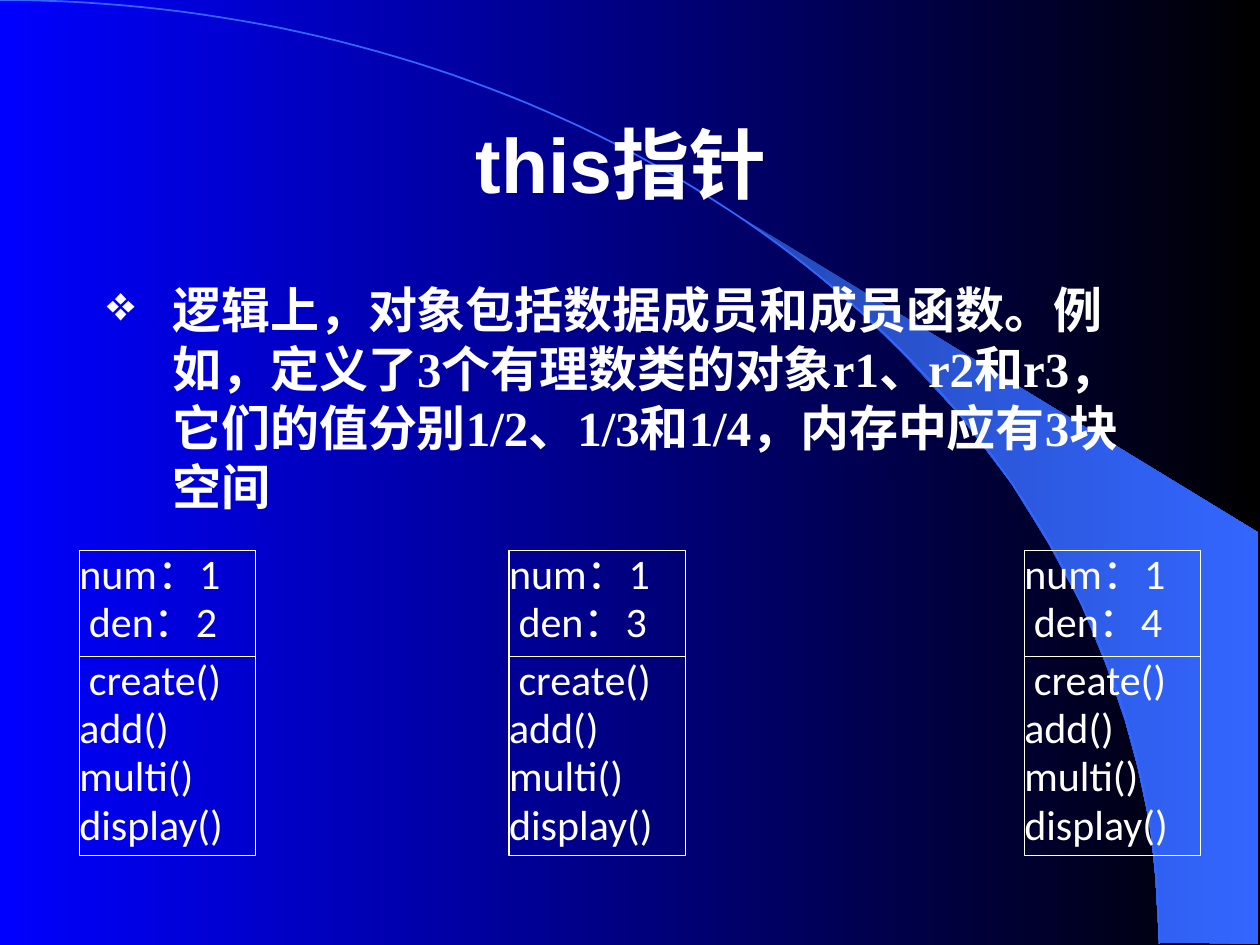
"""Build the slide on the this pointer, with three rational objects in memory."""
import math
import lxml.etree
import pptx
import pptx.util
import pptx.dml.color
import pptx.enum.shapes
import pptx.enum.text
import pptx.oxml.ns

Inches, Pt = pptx.util.Inches, pptx.util.Pt
RGBColor = pptx.dml.color.RGBColor
ALIGN, ANCHOR = pptx.enum.text.PP_ALIGN, pptx.enum.text.MSO_ANCHOR
WHITE = RGBColor(0xFF, 0xFF, 0xFF)
BLACK = RGBColor(0x00, 0x00, 0x00)
BLUE = RGBColor(0x00, 0x00, 0xFF)
SKY = RGBColor(0x33, 0x66, 0xFF)
DEEP_SKY = RGBColor(0x24, 0x49, 0xB6)

TITLE = "this指针 "
STATEMENT = ("逻辑上，对象包括数据成员和成员函数。例如，定义了3个有理数类的对象"
             "r1、r2和r3，它们的值分别1/2、1/3和1/4，内存中应有3块空间")
OBJECTS = [(0.63, 2), (4.04, 3), (8.13, 4)]
FUNCTIONS = [" create()", "add()", "multi()", "display()"]
DATA_BAND, FUNCTION_BAND = (4.37, 0.84), (5.21, 1.58)
OBJECT_WIDTH = 1.4
ARC_WIDTH, ARC_HEIGHT, ARC_STEPS = 9.2, 7.49, 90
BEAM = [(9.2, 7.48), (9.99, 7.49), (9.99, 4.23), (5.89, 1.73), (6.24, 1.99),
        (6.53, 2.22), (6.85, 2.5), (7.16, 2.8), (7.62, 3.3), (8.03, 3.84),
        (8.32, 4.31), (8.58, 4.79), (8.78, 5.28), (8.93, 5.72), (9.03, 6.09),
        (9.13, 6.56), (9.17, 6.96)]


def shade(fill, start, end):
    fill.gradient()
    fill.gradient_angle = 0
    for stop, position, color in zip(fill.gradient_stops, (0, 1), (start, end)):
        stop.position = position
        stop.color.rgb = color


def outline(slide, points, close):
    scaled = [(x * 1000, y * 1000) for x, y in points]
    builder = slide.shapes.build_freeform(*scaled[0], scale=914.4)
    builder.add_line_segments(scaled[1:], close=close)
    shape = builder.convert_to_shape()
    shape.shadow.inherit = False
    return shape


def write(paragraph, text, font, size, align, bold=False):
    paragraph.alignment = align
    run = paragraph.add_run()
    run.text = text
    run.font.name, run.font.size, run.font.bold = font, Pt(size), bold
    run.font.color.rgb = WHITE


def add_backdrop(slide):
    shade(slide.background.fill, BLUE, BLACK)
    beam = outline(slide, BEAM, True)
    shade(beam.fill, DEEP_SKY, SKY)
    beam.line.fill.background()
    angles = [math.pi / 2 * step / ARC_STEPS for step in range(ARC_STEPS + 1)]
    arc = outline(slide, [(ARC_WIDTH * math.sin(a), ARC_HEIGHT * (1 - math.cos(a)))
                          for a in angles], False)
    arc.fill.background()
    arc.line.color.rgb, arc.line.width = SKY, Pt(1)


def add_title(slide):
    title = slide.shapes.title
    title.left, title.top, title.width, title.height = map(Inches, (0.75, 0.67, 8.5, 1.25))
    title.text_frame.vertical_anchor = ANCHOR.MIDDLE
    write(title.text_frame.paragraphs[0], TITLE, "Arial", 44, ALIGN.CENTER, True)
    slide.shapes._spTree.append(title._element)


def add_statement(slide):
    frame = slide.shapes.add_textbox(*map(Inches, (0.75, 2.17, 8.5, 2))).text_frame
    frame.word_wrap = True
    paragraph = frame.paragraphs[0]
    write(paragraph, STATEMENT, "Times New Roman", 28, ALIGN.LEFT, True)
    paragraph.space_before = Pt(5.6)
    properties = paragraph._p.get_or_add_pPr()
    properties.set("marL", str(Inches(0.52)))
    properties.set("indent", str(-Inches(0.52)))
    properties.set("hangingPunct", "0")
    qn = pptx.oxml.ns.qn
    bullet_color = lxml.etree.SubElement(properties, qn("a:buClr"))
    lxml.etree.SubElement(bullet_color, qn("a:srgbClr"), val=str(WHITE))
    lxml.etree.SubElement(properties, qn("a:buSzPct"), val="100000")
    lxml.etree.SubElement(properties, qn("a:buChar"), char="❖")


def add_compartment(slide, left, band, members):
    top, height = band
    box = slide.shapes.add_shape(pptx.enum.shapes.MSO_SHAPE.RECTANGLE,
                                 *map(Inches, (left, top, OBJECT_WIDTH, height)))
    box.shadow.inherit = False
    box.fill.background()
    box.line.color.rgb, box.line.width = WHITE, Pt(0.75)
    frame = box.text_frame
    frame.word_wrap = True
    frame.vertical_anchor = ANCHOR.TOP
    frame.margin_left = frame.margin_top = frame.margin_right = frame.margin_bottom = 0
    for index, member in enumerate(members):
        paragraph = frame.add_paragraph() if index else frame.paragraphs[0]
        paragraph.line_spacing = 0.96
        write(paragraph, member, "Calibri", 24, ALIGN.JUSTIFY)


def main():
    deck = pptx.Presentation()
    deck.slide_width, deck.slide_height = Inches(10), Inches(7.5)
    slide = deck.slides.add_slide(deck.slide_layouts[5])
    add_backdrop(slide)
    add_title(slide)
    add_statement(slide)
    for left, denominator in OBJECTS:
        add_compartment(slide, left, DATA_BAND, ["num：1", f" den：{denominator}"])
        add_compartment(slide, left, FUNCTION_BAND, FUNCTIONS)
    deck.save("out.pptx")


if __name__ == "__main__":
    main()
